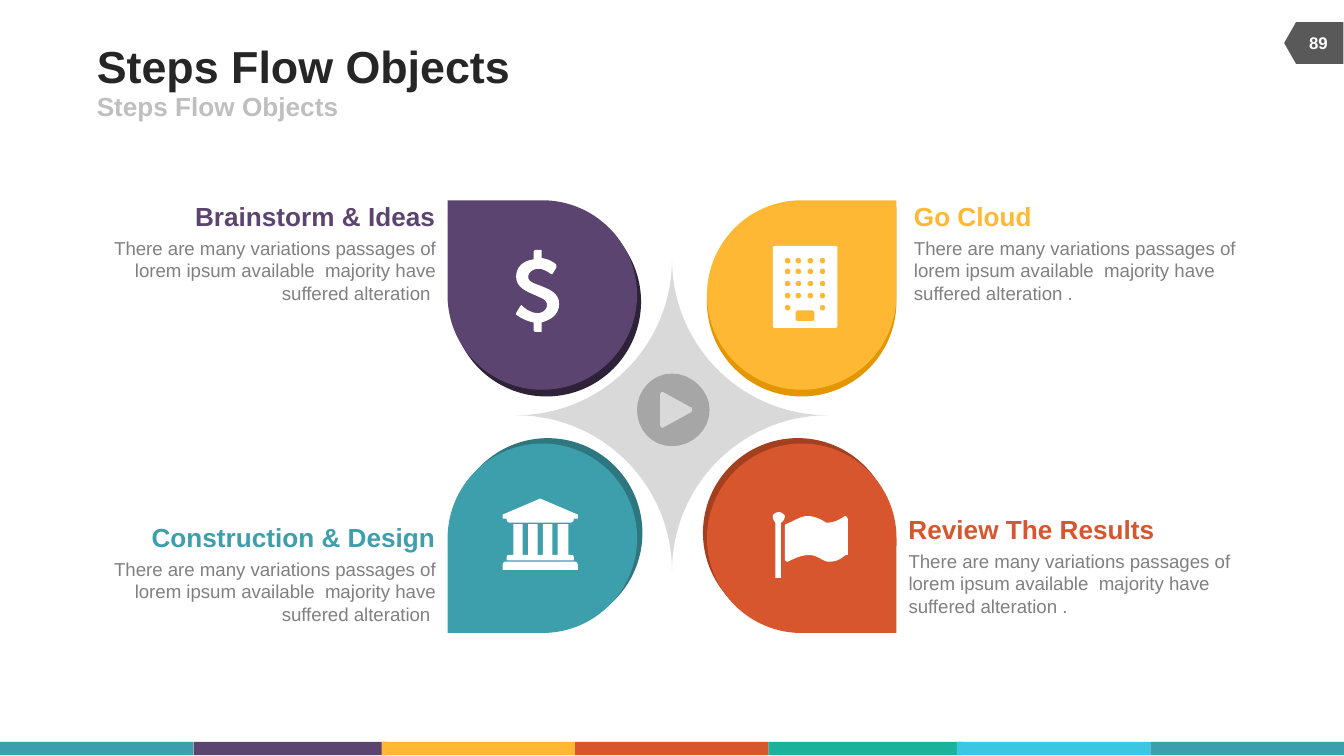
from dataclasses import dataclass
from itertools import product

from lxml.etree import SubElement
from pptx import Presentation
from pptx.dml.color import RGBColor
from pptx.enum.shapes import MSO_SHAPE
from pptx.enum.text import MSO_ANCHOR, MSO_AUTO_SIZE, PP_ALIGN
from pptx.oxml.ns import qn
from pptx.util import Inches, Pt


@dataclass(frozen=True)
class Theme:
    font: str = "Arial"
    ink: str = "262626"
    subtitle: str = "BFBFBF"
    body: str = "808080"
    white: str = "FFFFFF"
    tag: str = "595959"
    star: str = "D9D9D9"
    play: str = "A6A6A6"
    purple: str = "5B4470"
    purple_dark: str = "2E2238"
    yellow: str = "FEB834"
    yellow_dark: str = "E49601"
    teal: str = "3D9FAC"
    teal_dark: str = "2E7781"
    orange: str = "D7562E"
    orange_dark: str = "A43F1F"
    green: str = "1BB29C"
    sky: str = "3BC7E2"
    title_size: int = 24
    heading_size: int = 14
    body_size: int = 10
    number_size: int = 9


theme = Theme()


def paint(shape, color):
    shape.shadow.inherit = False
    shape.fill.solid()
    shape.fill.fore_color.rgb = RGBColor.from_string(color)
    shape.line.fill.background()


def write(box, text, size, color, bold=True, align=PP_ALIGN.LEFT, wrap=False,
          anchor=MSO_ANCHOR.TOP, fit=MSO_AUTO_SIZE.NONE):
    frame = box.text_frame
    frame.margin_left = frame.margin_right = frame.margin_top = frame.margin_bottom = 0
    frame.word_wrap, frame.vertical_anchor, frame.auto_size = wrap, anchor, fit
    paragraph = frame.paragraphs[0]
    paragraph.text = text
    paragraph.alignment = align
    paragraph.space_before = Pt(0)
    properties = paragraph._p.get_or_add_pPr()
    properties.set("marL", "0")
    properties.set("indent", "0")
    SubElement(properties, qn("a:buNone"))
    paragraph.font.name = theme.font
    paragraph.font.size = Pt(size)
    paragraph.font.bold = bold
    paragraph.font.color.rgb = RGBColor.from_string(color)


# A 16:9 slide, ten inches wide
deck = Presentation()
deck.slide_width = Inches(10)
deck.slide_height = Inches(10 * 9 / 16)
slide = deck.slides.add_slide(deck.slide_layouts[1])
shapes = slide.shapes

# Title and subtitle
title, subtitle = shapes.title, slide.placeholders[1]
title.left, title.top, title.width, title.height = map(Inches, (0.72, 0.29, 6.17, 0.39))
subtitle.left, subtitle.top, subtitle.width, subtitle.height = map(Inches, (0.72, 0.68, 4.5, 0.22))
write(title, "Steps Flow Objects", theme.title_size, theme.ink, anchor=MSO_ANCHOR.MIDDLE)
write(subtitle, "Steps Flow Objects", theme.heading_size, theme.subtitle, anchor=MSO_ANCHOR.MIDDLE)

# Colour strip along the bottom
strip = [(0, theme.teal), (1.44, theme.purple), (2.84, theme.yellow), (4.28, theme.orange),
         (5.72, theme.green), (7.12, theme.sky), (8.56, theme.teal)]
for left, color in strip:
    band = shapes.add_shape(MSO_SHAPE.RECTANGLE, Inches(left), Inches(5.52), Inches(1.44), Inches(0.1))
    paint(band, color)

# Page number tag
tag = shapes.add_shape(MSO_SHAPE.FLOWCHART_OFFPAGE_CONNECTOR,
                       Inches(9.62), Inches(0.1), Inches(0.31), Inches(0.44))
tag.rotation = 90
paint(tag, theme.tag)
number = shapes.add_textbox(Inches(9.6), Inches(0.17), Inches(0.42), Inches(0.3))
write(number, "89", theme.number_size, theme.white, align=PP_ALIGN.CENTER, wrap=True,
      anchor=MSO_ANCHOR.MIDDLE)

# Central star
star = shapes.add_shape(MSO_SHAPE.PLAQUE, Inches(3.84), Inches(1.93), Inches(2.32), Inches(2.32))
star.adjustments[0] = 0.5
paint(star, theme.star)

# Petals: rotation, then position and colour of the shade and of the face
petals = [
    (270, (3.36, 1.54, theme.purple_dark), (3.33, 1.49, theme.purple)),
    (0, (5.26, 1.54, theme.yellow_dark), (5.26, 1.49, theme.yellow)),
    (180, (3.37, 3.26, theme.teal_dark), (3.33, 3.3, theme.teal)),
    (90, (5.23, 3.26, theme.orange_dark), (5.26, 3.3, theme.orange)),
]
for rotation, *layers in petals:
    for left, top, color in layers:
        petal = shapes.add_shape(MSO_SHAPE.TEAR, Inches(left), Inches(top), Inches(1.41), Inches(1.41))
        petal.rotation = rotation
        paint(petal, color)

# Step texts: heading, colour, alignment, heading left, top and width, body left and width, ending
description = "There are many variations passages of lorem ipsum available  majority have suffered alteration "
steps = [
    ("Construction & Design", theme.teal, PP_ALIGN.RIGHT, 1.12, 3.88, 2.12, 0.78, 2.46, ""),
    ("Go Cloud", theme.yellow, PP_ALIGN.LEFT, 6.8, 1.49, 0.88, 6.8, 2.49, "."),
    ("Brainstorm & Ideas", theme.purple, PP_ALIGN.RIGHT, 1.44, 1.49, 1.8, 0.75, 2.49, ""),
    ("Review The Results", theme.orange, PP_ALIGN.LEFT, 6.76, 3.82, 1.84, 6.76, 2.49, "."),
]
for name, color, align, left, top, width, body_left, body_width, ending in steps:
    body = shapes.add_textbox(Inches(body_left), Inches(top + 0.27), Inches(body_width), Inches(0.5))
    write(body, description + ending, theme.body_size, theme.body, bold=False, align=align,
          wrap=True, fit=MSO_AUTO_SIZE.SHAPE_TO_FIT_TEXT)
    heading = shapes.add_textbox(Inches(left), Inches(top), Inches(width), Inches(0.24))
    write(heading, name, theme.heading_size, color, align=align, fit=MSO_AUTO_SIZE.SHAPE_TO_FIT_TEXT)

# Icon outlines: two numbers are a corner, six are a Bézier curve
play = [
    [(5.28, 3.05), (5.28, 3.2, 5.15, 3.32, 5, 3.32), (4.85, 3.32, 4.74, 3.2, 4.74, 3.05),
     (4.74, 2.91, 4.85, 2.78, 5, 2.78), (5.15, 2.78, 5.28, 2.91, 5.28, 3.05)],
    [(5.15, 3.05), (5.15, 3.04, 5.15, 3.03, 5.14, 3.03), (4.94, 2.92),
     (4.93, 2.91, 4.91, 2.92, 4.91, 2.94), (4.91, 3.16), (4.91, 3.18, 4.93, 3.19, 4.94, 3.18),
     (5.14, 3.07), (5.15, 3.06, 5.15, 3.06, 5.15, 3.05)],
]
dollar = [[
    (4.03, 2.4), (4.03, 2.46), (4.03, 2.47), (3.98, 2.47), (3.97, 2.46), (3.97, 2.4),
    (3.88, 2.38, 3.84, 2.34, 3.84, 2.34), (3.84, 2.33), (3.87, 2.28), (3.88, 2.27), (3.89, 2.28),
    (3.89, 2.28, 3.94, 2.33, 4, 2.33), (4.03, 2.33, 4.07, 2.31, 4.07, 2.27),
    (4.07, 2.23, 4.03, 2.22, 3.99, 2.2), (3.92, 2.17, 3.84, 2.14, 3.84, 2.06),
    (3.84, 1.99, 3.89, 1.94, 3.97, 1.93), (3.97, 1.87), (3.98, 1.86), (4.03, 1.86), (4.03, 1.92),
    (4.1, 1.93, 4.14, 1.97, 4.14, 1.97), (4.14, 1.99), (4.11, 2.04), (4.1, 2.04),
    (4.1, 2.04, 4.05, 2, 4.01, 2), (3.96, 2, 3.93, 2.03, 3.93, 2.06),
    (3.93, 2.1, 3.98, 2.11, 4.03, 2.13), (4.08, 2.15, 4.16, 2.18, 4.16, 2.26),
    (4.16, 2.34, 4.1, 2.38, 4.03, 2.4),
]]

# Bank: roof, base, and columns that hang between two beams
colonnade = [(3.82, 4.13), (3.82, 3.9)]
for left, right in [(3.89, 3.93), (4, 4.04), (4.11, 4.15)]:
    colonnade += [(left, 3.9), (left, 4.13), (right, 4.13), (right, 3.9)]
colonnade += [(4.23, 3.9), (4.23, 4.13), (4.24, 4.13), (4.26, 4.13, 4.27, 4.13, 4.27, 4.15),
              (4.27, 4.17), (3.77, 4.17), (3.77, 4.15), (3.77, 4.13, 3.78, 4.13, 3.8, 4.13)]
bank = [
    [(4.3, 3.83), (4.3, 3.86), (4.27, 3.86), (4.27, 3.88, 4.26, 3.89, 4.24, 3.89), (3.8, 3.89),
     (3.78, 3.89, 3.77, 3.88, 3.77, 3.86), (3.74, 3.86), (3.74, 3.83), (4.02, 3.71)],
    [(4.3, 4.21), (4.3, 4.24), (3.74, 4.24), (3.74, 4.21), (3.74, 4.19, 3.75, 4.18, 3.76, 4.18),
     (4.28, 4.18), (4.29, 4.18, 4.3, 4.19, 4.3, 4.21)],
    colonnade,
]

# Building: wall, door and windows, all with cut corners
panels = [(5.75, 1.83, 6.23, 2.44), (5.92, 2.31, 6.06, 2.39)]
for row, column in product((1.92, 2, 2.09, 2.18, 2.27), (5.84, 5.92, 6.01, 6.1)):
    if row < 2.27 or column in (5.84, 6.1):
        panels.append((column, row, column + 0.04, row + 0.04))
building = [
    [(x1 + 0.01, y1), (x2 - 0.01, y1), (x2, y1 + 0.01), (x2, y2 - 0.01),
     (x2 - 0.01, y2), (x1 + 0.01, y2), (x1, y2 - 0.01), (x1, y1 + 0.01)]
    for x1, y1, x2, y2 in panels
]
flag = [
    [(5.81, 3.89), (5.81, 4.3), (5.78, 4.3), (5.77, 4.3), (5.77, 3.89),
     (5.76, 3.88, 5.75, 3.86, 5.75, 3.84), (5.75, 3.83, 5.77, 3.81, 5.8, 3.81),
     (5.81, 3.81, 5.84, 3.83, 5.84, 3.84), (5.84, 3.86, 5.83, 3.88, 5.81, 3.89)],
    [(6.31, 4.12), (6.31, 4.13, 6.31, 4.13, 6.29, 4.13), (6.26, 4.16, 6.22, 4.18, 6.17, 4.18),
     (6.12, 4.18, 6.09, 4.13, 6.02, 4.13), (5.97, 4.13, 5.92, 4.15, 5.86, 4.18),
     (5.85, 4.18, 5.84, 4.17, 5.84, 4.16), (5.84, 3.92), (5.84, 3.91, 5.84, 3.9, 5.85, 3.9),
     (5.92, 3.87, 5.96, 3.84, 6.01, 3.84), (6.06, 3.84, 6.1, 3.86, 6.15, 3.89),
     (6.23, 3.89, 6.28, 3.84, 6.29, 3.84), (6.3, 3.84, 6.31, 3.86, 6.31, 3.87)],
]

# Draw the icons, with each curve as eight short lines
icons = [(play, theme.play), (dollar, theme.white), (bank, theme.white),
         (building, theme.white), (flag, theme.white)]
for outlines, color in icons:
    pen = None
    for start, *segments in outlines:
        points = [start]
        for segment in segments:
            if len(segment) == 2:
                points.append(segment)
                continue
            (x0, y0), (x1, y1, x2, y2, x3, y3) = points[-1], segment
            for t in (step / 8 for step in range(1, 9)):
                a, b, c, d = (1 - t) ** 3, 3 * t * (1 - t) ** 2, 3 * t * t * (1 - t), t ** 3
                points.append((a * x0 + b * x1 + c * x2 + d * x3, a * y0 + b * y1 + c * y2 + d * y3))
        corners = [(Inches(x), Inches(y)) for x, y in points]
        if pen is None:
            pen = shapes.build_freeform(*corners[0])
        else:
            pen.move_to(*corners[0])
        pen.add_line_segments(corners[1:], close=True)
    paint(pen.convert_to_shape(), color)

deck.save("out.pptx")
